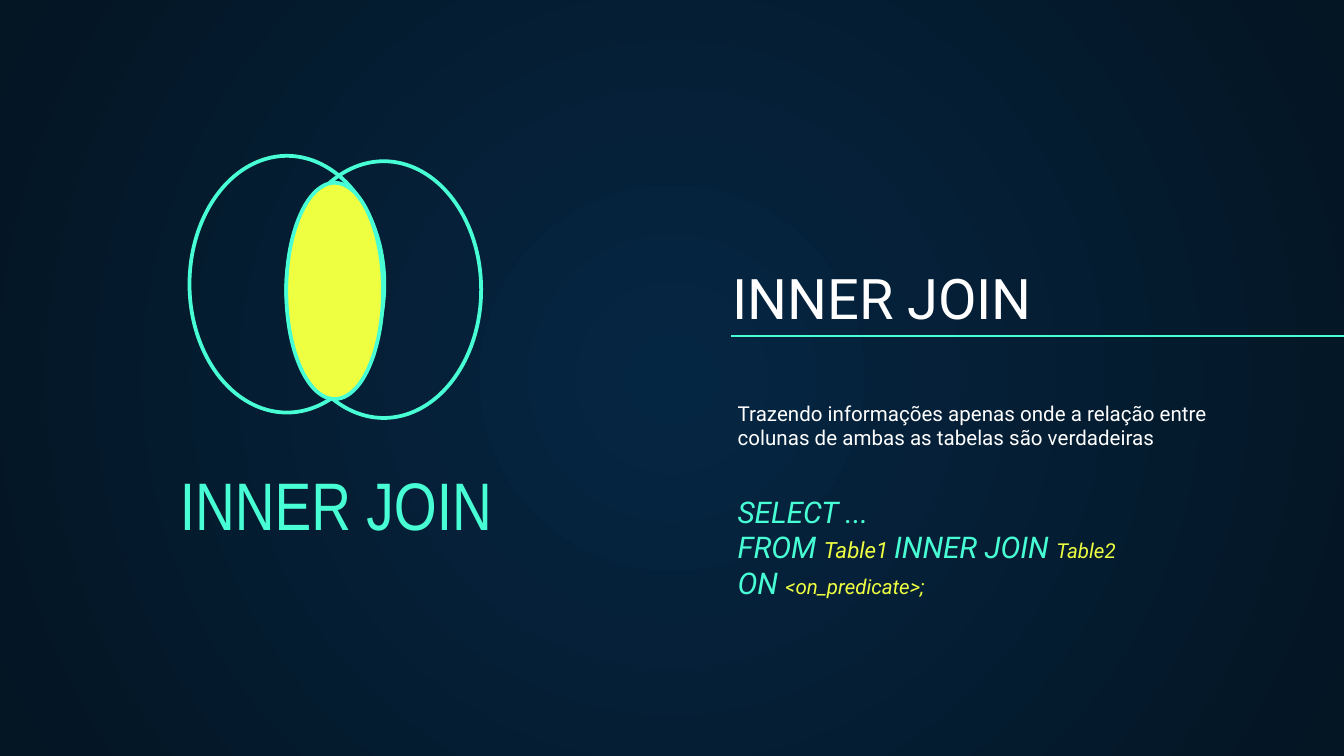
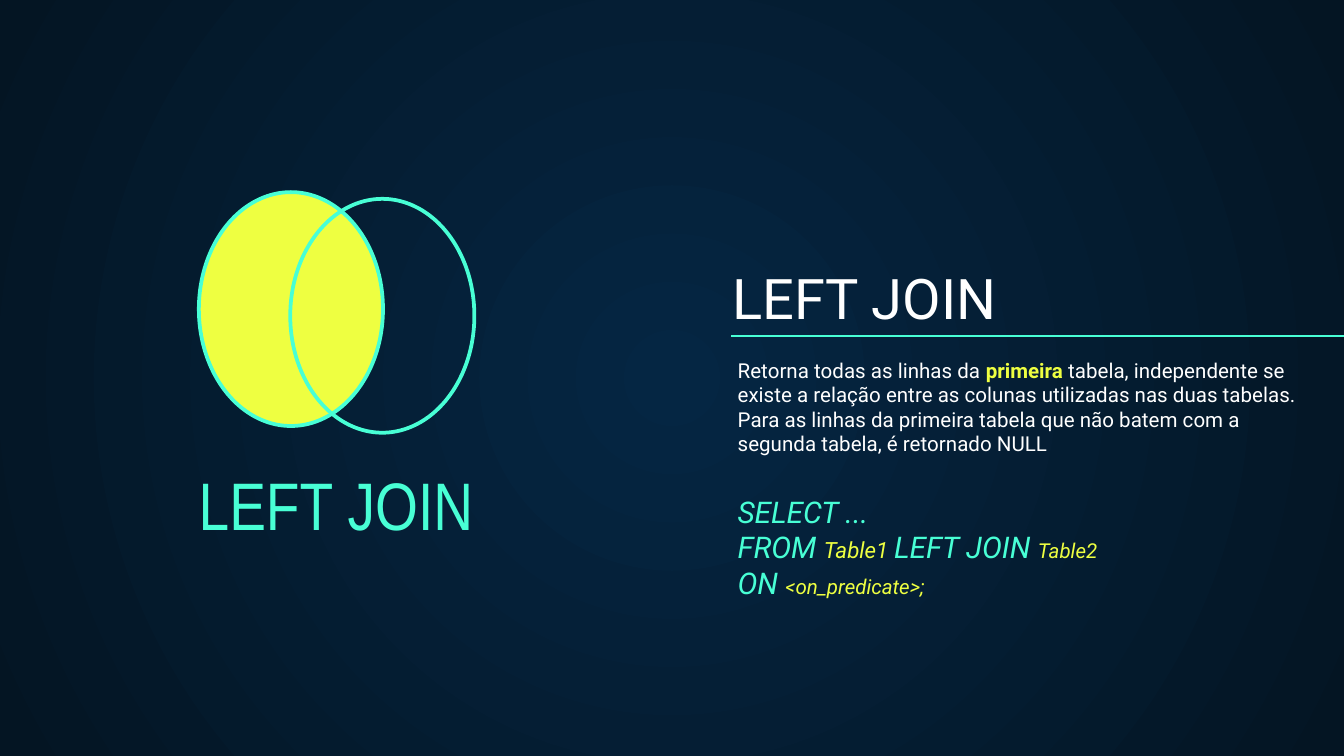
from dataclasses import dataclass

from lxml.etree import SubElement
from pptx import Presentation
from pptx.dml.color import RGBColor
from pptx.enum.shapes import MSO_CONNECTOR, MSO_SHAPE
from pptx.enum.text import MSO_ANCHOR, PP_ALIGN
from pptx.oxml.ns import qn
from pptx.util import Inches, Pt


@dataclass(frozen=True)
class Theme:
    center: str = "052643"
    edge: str = "041523"
    white: str = "FFFFFF"
    accent: str = "48FFD5"
    highlight: str = "EEFF41"
    font: str = "Roboto"
    label_font: str = "Arial Narrow"
    label_size: int = 36
    title_size: int = 30
    keyword_size: int = 16
    table_size: int = 12
    body_size: int = 11
    outline: float = 2
    rule: float = 0.75


def add_span(para, text, *, size, color, font, bold=False, italic=False):
    span = para.add_run()
    span.text = text
    span.font.size = Pt(size)
    span.font.name = font
    span.font.bold = bold
    span.font.italic = italic
    span.font.color.rgb = RGBColor.from_string(color)


class JoinDeck:
    def __init__(self, theme):
        self.theme = theme
        self.deck = Presentation()
        self.deck.slide_width = Inches(10)
        self.deck.slide_height = Inches(10) * 9 // 16
        self.page = None

    def new_page(self):
        self.page = self.deck.slides.add_slide(self.deck.slide_layouts[6])
        self.paint_background()

    def paint_background(self):
        """Fill the page with a circular gradient from its center."""
        fill = self.page.background.fill
        fill.gradient()
        for stop, color in zip(fill.gradient_stops, (self.theme.center, self.theme.edge)):
            stop.color.rgb = RGBColor.from_string(color)
        gradient = self.page.element.find(".//" + qn("a:gradFill"))
        gradient.remove(gradient.find(qn("a:lin")))
        circle = SubElement(gradient, qn("a:path"), {"path": "circle"})
        SubElement(circle, qn("a:fillToRect"), dict.fromkeys("ltrb", "50000"))

    def text(self, area, lines, anchor=MSO_ANCHOR.BOTTOM, align=PP_ALIGN.LEFT):
        """Write lines, each a list of (text, format) spans."""
        box = self.page.shapes.add_textbox(*map(Inches, area))
        frame = box.text_frame
        frame.word_wrap = True
        frame.vertical_anchor = anchor
        frame.margin_left = frame.margin_right = Inches(0.1)
        frame.margin_top = frame.margin_bottom = Inches(0.1)
        for index, spans in enumerate(lines):
            para = frame.add_paragraph() if index else frame.paragraphs[0]
            para.alignment = align
            for text, style in spans:
                add_span(para, text, **style)

    def title(self, text):
        style = dict(size=self.theme.title_size, color=self.theme.white, font=self.theme.font)
        self.text((5.35, 1.9, 3.86, 0.66), [[(text, style)]])

    def label(self, text):
        style = dict(size=self.theme.label_size, color=self.theme.accent,
                     font=self.theme.label_font)
        self.text((1.15, 3.49, 2.7, 0.66), [[(text, style)]], align=PP_ALIGN.CENTER)

    def description(self, parts, top, width):
        """Write the parts in turn as plain and highlighted text."""
        plain = dict(size=self.theme.body_size, color=self.theme.white, font=self.theme.font)
        strong = plain | dict(color=self.theme.highlight, bold=True)
        spans = [(part, strong if index % 2 else plain) for index, part in enumerate(parts)]
        self.text((5.39, top, width, 1.08), [spans], anchor=MSO_ANCHOR.TOP)

    def query(self, join):
        theme = self.theme
        keyword = dict(size=theme.keyword_size, color=theme.accent, font=theme.font, italic=True)
        table = keyword | dict(size=theme.table_size, color=theme.highlight)
        detail = table | dict(size=theme.body_size)
        self.text((5.39, 3.55, 3.93, 1.02), [
            [("SELECT ...", keyword)],
            [("FROM ", keyword), ("Table1 ", table), (f"{join} ", keyword), ("Table2", detail)],
            [("ON ", keyword), ("<on_predicate>;", detail)],
        ])

    def rule(self):
        """Draw the line under the title, running past the right edge."""
        line = self.page.shapes.add_connector(
            MSO_CONNECTOR.STRAIGHT, Inches(5.44), Inches(2.5), Inches(10.3), Inches(2.5))
        line.line.color.rgb = RGBColor.from_string(self.theme.accent)
        line.line.width = Pt(self.theme.rule)
        SubElement(line.element.spPr, qn("a:effectLst"))

    def ellipse(self, area, filled=False):
        shape = self.page.shapes.add_shape(MSO_SHAPE.OVAL, *map(Inches, area))
        shape.shadow.inherit = False
        if filled:
            shape.fill.solid()
            shape.fill.fore_color.rgb = RGBColor.from_string(self.theme.highlight)
        else:
            shape.fill.background()
        shape.line.color.rgb = RGBColor.from_string(self.theme.accent)
        shape.line.width = Pt(self.theme.outline)

    def join_page(self, join, description, top, width, ellipses):
        self.new_page()
        self.title(join)
        self.description(description, top, width)
        self.rule()
        self.label(join)
        self.query(join)
        for area, filled in ellipses:
            self.ellipse(area, filled)


def main():
    joins = JoinDeck(Theme())
    joins.join_page(
        "INNER JOIN",
        ["Trazendo informações apenas onde a relação entre colunas de ambas as tabelas "
         "são verdadeiras"],
        top=2.88, width=3.78,
        ellipses=[((1.41, 1.16, 1.45, 1.91), False),
                  ((2.13, 1.2, 1.45, 1.91), False),
                  ((2.13, 1.36, 0.72, 1.61), True)],
    )
    joins.join_page(
        "LEFT JOIN",
        ["Retorna todas as linhas da ",
         "primeira",
         " tabela, independente se existe a relação entre as colunas utilizadas nas duas "
         "tabelas. Para as linhas da primeira tabela que não batem com a segunda tabela, "
         "é retornado NULL"],
        top=2.56, width=4.39,
        ellipses=[((1.48, 1.43, 1.37, 1.74), True),
                  ((2.16, 1.48, 1.37, 1.74), False)],
    )
    joins.deck.save("out.pptx")


if __name__ == "__main__":
    main()
